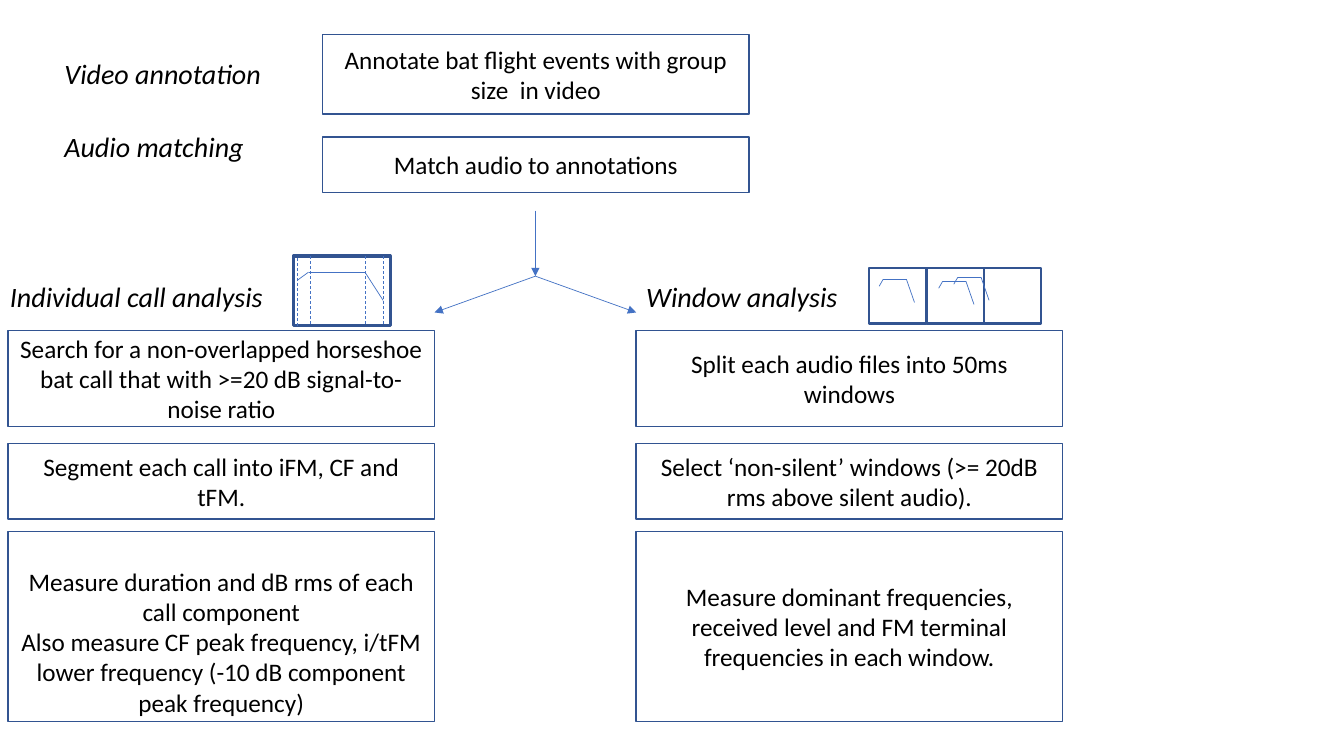
from dataclasses import dataclass
from itertools import pairwise

from lxml.etree import SubElement
from pptx import Presentation
from pptx.dml.color import RGBColor
from pptx.enum.dml import MSO_LINE
from pptx.enum.shapes import MSO_CONNECTOR, MSO_SHAPE
from pptx.enum.text import MSO_ANCHOR, PP_ALIGN
from pptx.oxml.ns import qn
from pptx.util import Pt


@dataclass(frozen=True)
class Theme:
    font: str = "Calibri"
    ink: RGBColor = RGBColor(0, 0, 0)
    border: RGBColor = RGBColor(0x32, 0x54, 0x91)
    trace: RGBColor = RGBColor(0x44, 0x72, 0xC4)
    body: int = 18
    heading: int = 20
    box_line: float = 1
    window_line: float = 1.5
    call_line: float = 2.25
    trace_line: float = 0.5


class FlowChart:
    """Draws the parts of a flow chart on one page, at 100 px to the inch."""

    scale = 9144

    def __init__(self, width, height, theme):
        self.theme = theme
        self.deck = Presentation()
        self.deck.slide_width, self.deck.slide_height = self.emu(width, height)
        self.page = self.deck.slides.add_slide(self.deck.slide_layouts[6])

    def emu(self, *lengths):
        return [length * self.scale for length in lengths]

    def apply(self, target, **formats):
        for name, value in formats.items():
            setattr(target, name, value)

    def add_text(self, frame, paragraphs, align, **formats):
        frame.word_wrap = True
        for index, text in enumerate(paragraphs):
            para = frame.add_paragraph() if index else frame.paragraphs[0]
            para.alignment = align
            span = para.add_run()
            span.text = text
            self.apply(span.font, name=self.theme.font, **formats)
            span.font.color.rgb = self.theme.ink

    def outline(self, left, top, width, height, weight):
        box = self.page.shapes.add_shape(
            MSO_SHAPE.RECTANGLE, *self.emu(left, top, width, height))
        box.shadow.inherit = False
        box.fill.background()
        box.line.color.rgb = self.theme.border
        box.line.width = Pt(weight)
        return box

    def step(self, left, top, height, *paragraphs, inset=5):
        box = self.outline(left, top, STEP_WIDTH, height, self.theme.box_line)
        self.apply(box.text_frame, vertical_anchor=MSO_ANCHOR.MIDDLE,
                   margin_top=inset * self.scale)
        self.add_text(box.text_frame, paragraphs, PP_ALIGN.CENTER, size=Pt(self.theme.body))

    def heading(self, left, top, width, text):
        box = self.page.shapes.add_textbox(*self.emu(left, top, width, 44))
        self.add_text(box.text_frame, [text], PP_ALIGN.LEFT,
                      size=Pt(self.theme.heading), italic=True)

    def trace(self, *points, dash=None, arrow=False):
        for start, end in pairwise(points):
            line = self.page.shapes.add_connector(
                MSO_CONNECTOR.STRAIGHT, *self.emu(*start, *end))
            line.line.color.rgb = self.theme.trace
            self.apply(line.line, width=Pt(self.theme.trace_line), dash_style=dash)
            properties = line.element.spPr
            if arrow:
                SubElement(properties.find(qn("a:ln")), qn("a:tailEnd"), type="triangle")
            SubElement(properties, qn("a:effectLst"))


STEP_WIDTH = 423
CENTRE_LEFT, CALL_LEFT, WINDOW_LEFT = 320, 8, 631
FORK = (531, 274)

HEADINGS = [
    (54, 51, 265, "Video annotation"),
    (54, 124, 207, "Audio matching"),
    (0, 272, 316, "Individual call analysis"),
    (WINDOW_LEFT, 272, 316, "Window analysis"),
]
ROWS = [
    (328, 95, "Search for a non-overlapped horseshoe bat call that with >=20 dB signal-to-noise ratio",
     "Split each audio files into 50ms windows"),
    (440, 75, "Segment each call into iFM, CF and tFM.",
     "Select ‘non-silent’ windows (>= 20dB rms above silent audio)."),
]


def main():
    theme = Theme()
    chart = FlowChart(1333, 750, theme)

    chart.step(CENTRE_LEFT, 34, 79, "Annotate bat flight events with group size  in video")
    chart.step(CENTRE_LEFT, 136, 55, "Match audio to annotations")
    chart.trace((531, 209), FORK, arrow=True)
    for branch_end in (431, 631):
        chart.trace(FORK, (branch_end, 310), arrow=True)

    for top, height, call_step, window_step in ROWS:
        chart.step(CALL_LEFT, top, height, call_step)
        chart.step(WINDOW_LEFT, top, height, window_step)
    chart.step(CALL_LEFT, 527, 189,
               "Measure duration and dB rms of each call component",
               "Also measure CF peak frequency, i/tFM lower frequency "
               "(-10 dB component peak frequency)", inset=35)
    chart.step(WINDOW_LEFT, 527, 189,
               "Measure dominant frequencies, received level and FM terminal "
               "frequencies in each window.")
    for heading in HEADINGS:
        chart.heading(*heading)

    chart.outline(291, 254, 96, 69, theme.call_line)
    chart.trace((295, 278), (306, 270), (362, 270), (380, 298))
    for x, top in ((295, 256), (308, 254), (362, 254), (380, 254)):
        chart.trace((x, top), (x, top + 69), dash=MSO_LINE.DASH)

    for index in range(3):
        chart.outline(862 + 57 * index, 266, 57, 55, theme.window_line)
    for x, y in ((872, 284), (931, 286), (946, 282)):
        chart.trace((x, y), (x + 4, y - 7), (x + 27, y - 7), (x + 35, y + 16))

    chart.deck.save("out.pptx")


if __name__ == "__main__":
    main()
